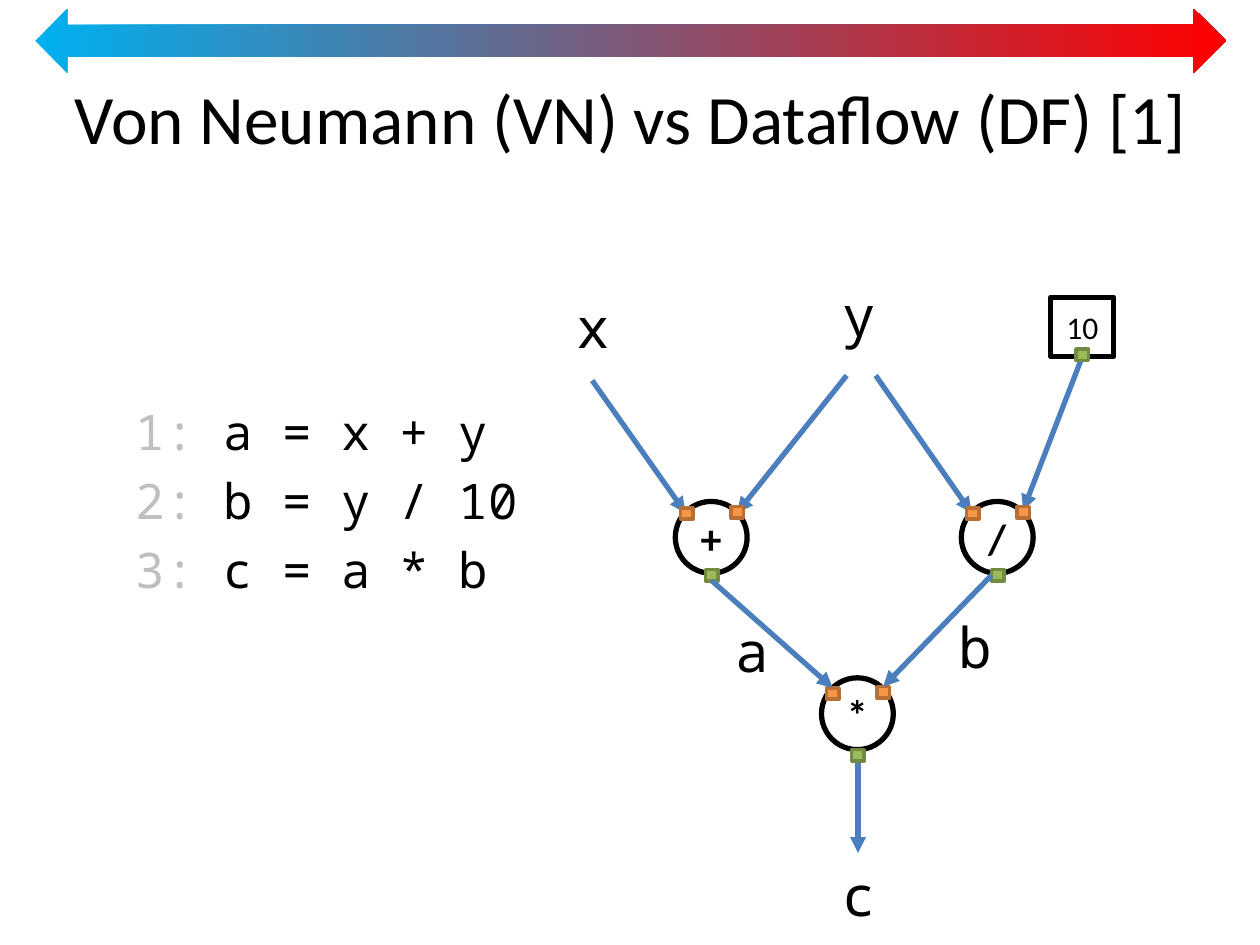
from lxml.etree import SubElement
from pptx import Presentation
from pptx.dml.color import RGBColor
from pptx.enum.shapes import MSO_CONNECTOR, MSO_SHAPE
from pptx.enum.text import MSO_ANCHOR, PP_ALIGN
from pptx.oxml.ns import qn
from pptx.util import Inches, Pt

BLACK, WHITE, GRAY = "000000", "FFFFFF", "BFBFBF"
INPUT, OUTPUT = ("F79646", "B76F34"), ("9BBB59", "738A42")
TOP, LEFT, BOTTOM = 0, 1, 2


def color(value):
    """Turn a hex string into a colour."""
    return RGBColor.from_string(value)


def add_run(p, text, size=28, font="Noto Sans Mono", fill=BLACK, bold=False):
    """Append formatted text to a paragraph."""
    r = p.add_run()
    r.text = text
    r.font.size, r.font.name, r.font.bold = Pt(size), font, bold
    r.font.color.rgb = color(fill)


class Diagram:
    """Style and current slide of a dataflow diagram."""

    circle = 0.57
    port_size = (0.1, 0.09)
    edge = "4B7EBC"

    def __init__(self, slide):
        """Keep the slide to draw on."""
        self.shapes = slide.shapes

    def text(self, x, y, w, h):
        """Add an empty wrapping text frame."""
        tf = self.shapes.add_textbox(*map(Inches, (x, y, w, h))).text_frame
        tf.word_wrap = True
        return tf

    def title(self, text):
        """Add the centred slide title."""
        tf = self.text(0.28, 0.3, 9.45, 1.25)
        tf.vertical_anchor = MSO_ANCHOR.MIDDLE
        p = tf.paragraphs[0]
        p.alignment = PP_ALIGN.CENTER
        add_run(p, text, size=39.6, font="Calibri")

    def code(self, lines):
        """Add numbered code lines."""
        tf = self.text(0.98, 3.14, 3.62, 3.82)
        for i, line in enumerate(lines):
            p = tf.add_paragraph() if i else tf.paragraphs[0]
            if i:
                p.space_before = Pt(5.6)
            add_run(p, f"{i + 1}: ", fill=GRAY)
            add_run(p, line)

    def label(self, text, x, y):
        """Add a variable name."""
        add_run(self.text(x, y, 0.4, 0.64).paragraphs[0], text, size=32)

    def shape(self, kind, x, y, w, h, fill, line, width):
        """Add a filled and outlined shape."""
        s = self.shapes.add_shape(kind, *map(Inches, (x, y, w, h)))
        s.shadow.inherit = False
        s.fill.solid()
        s.fill.fore_color.rgb = color(fill)
        s.line.color.rgb = color(line)
        s.line.width = Pt(width)
        return s

    def node(self, kind, text, x, y, w, h, size=24, bold=True):
        """Add a white node with a centred symbol."""
        s = self.shape(kind, x, y, w, h, WHITE, BLACK, 3)
        s.text_frame.vertical_anchor = MSO_ANCHOR.MIDDLE
        p = s.text_frame.paragraphs[0]
        p.alignment = PP_ALIGN.CENTER
        add_run(p, text, size=size, font="Calibri", bold=bold)
        return s

    def operator(self, text, x, y):
        """Add a round operator node."""
        return self.node(MSO_SHAPE.OVAL, text, x, y, self.circle, self.circle)

    def port(self, x, y, colors):
        """Add a small input or output port."""
        return self.shape(MSO_SHAPE.RECTANGLE, x, y, *self.port_size, *colors, 2)

    def ports(self, x, y, drop=0):
        """Add an operator's two inputs and its output."""
        y += drop
        return (self.port(x + 0.04, y + 0.05, INPUT),
                self.port(x + 0.44, y + 0.04, INPUT),
                self.port(x + 0.24, y + 0.54, OUTPUT))

    def arrow(self, start, end, source=None, target=None):
        """Add an arrow, joined to (shape, side) pairs where given."""
        s = self.shapes.add_connector(
            MSO_CONNECTOR.STRAIGHT, *map(Inches, (*start, *end)))
        s.line.color.rgb = color(self.edge)
        s.line.width = Pt(3)
        SubElement(s.line._get_or_add_ln(), qn("a:tailEnd"), type="triangle")
        SubElement(s._element.spPr, qn("a:effectLst"))
        if source:
            s.begin_connect(*source)
        if target:
            s.end_connect(*target)

    def spectrum(self, start, end):
        """Add the double arrow with a colour gradient."""
        s = self.shapes.add_shape(MSO_SHAPE.LEFT_RIGHT_ARROW,
                                  *map(Inches, (0.28, 0.07, 9.45, 0.51)))
        s.shadow.inherit = False
        s.line.fill.background()
        s.fill.gradient()
        s.fill.gradient_angle = 0
        for stop, value, place in zip(s.fill.gradient_stops, (start, end), (0, 1)):
            stop.color.rgb = color(value)
            stop.position = place


def main():
    """Build and save the slide."""
    prs = Presentation()
    prs.slide_width, prs.slide_height = Inches(10), Inches(7.5)
    d = Diagram(prs.slides.add_slide(prs.slide_layouts[6]))

    d.title("Von Neumann (VN) vs Dataflow (DF) [1]")
    d.code(["a = x + y", "b = y / 10", "c = a * b"])
    d.spectrum("00B0F0", "FF0000")

    plus, divide, times = (5.36, 3.98), (7.63, 3.98), (6.52, 5.38)
    for symbol, at in (("+", plus), ("/", divide), ("*", times)):
        d.operator(symbol, *at)
    ten = d.node(MSO_SHAPE.RECTANGLE, "10", 8.34, 2.36, 0.5, 0.47,
                 size=18, bold=False)

    d.arrow((4.7, 3.02), (5.44, 4.07))
    d.arrow((6.72, 2.98), (5.85, 4.07))
    d.arrow((6.95, 2.98), (7.71, 4.07))
    d.arrow((8.59, 2.83), (8.12, 4.05), source=(ten, BOTTOM))
    d.arrow((6.81, 5.96), (6.81, 6.77))

    d.port(8.54, 2.77, OUTPUT)
    sum_out = d.ports(*plus)[2]
    ratio_out = d.ports(*divide)[2]
    left_in, right_in, _ = d.ports(*times, drop=0.03)
    d.arrow((5.65, 4.61), (6.6, 5.47), (sum_out, BOTTOM), (left_in, TOP))
    d.arrow((7.86, 4.56), (7.01, 5.47), (ratio_out, LEFT), (right_in, TOP))

    for name, x, y in (("x", 4.48, 2.27), ("y", 6.59, 2.18), ("c", 6.59, 6.78),
                       ("a", 5.74, 4.84), ("b", 7.51, 4.81)):
        d.label(name, x, y)

    prs.save("out.pptx")


if __name__ == "__main__":
    main()
